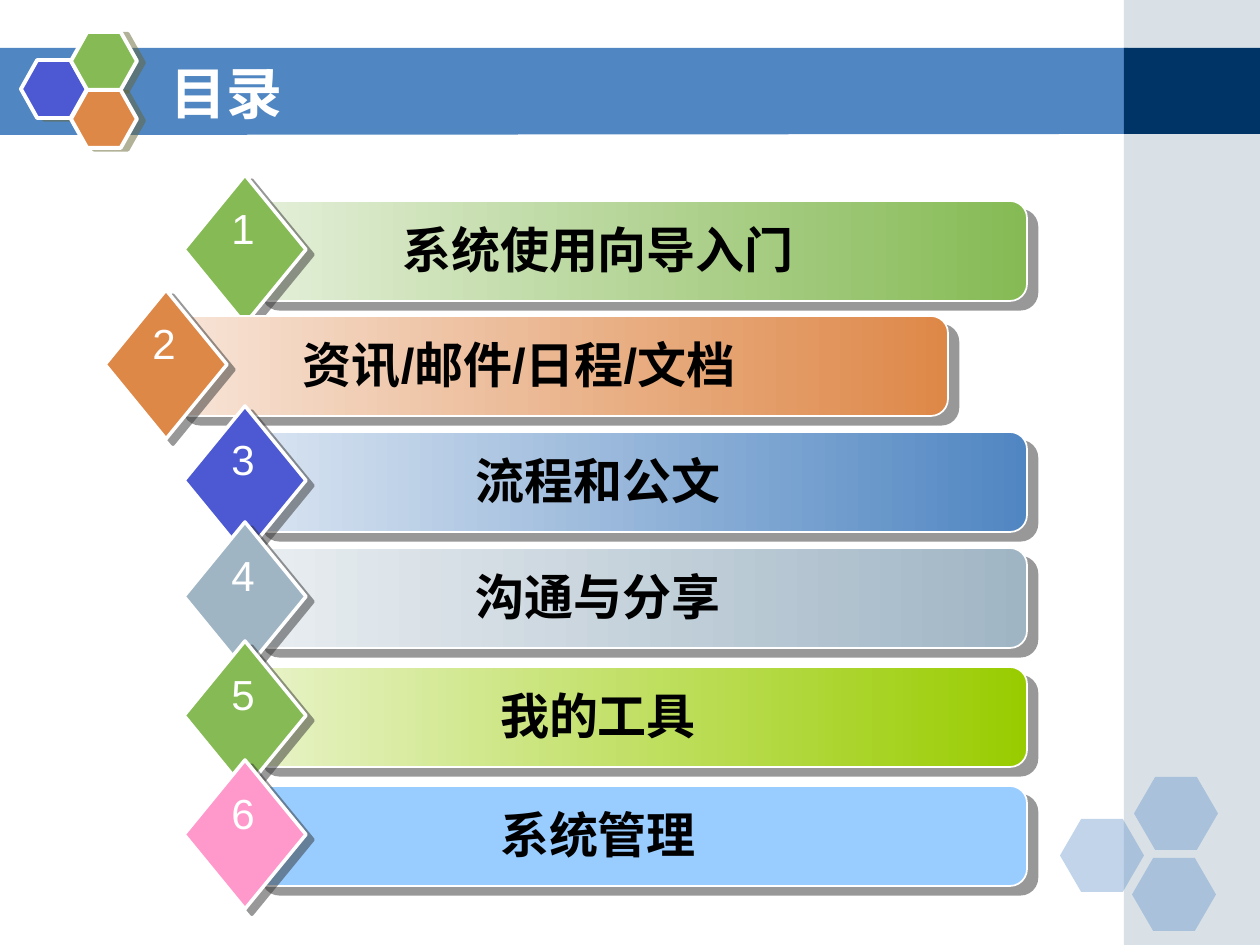
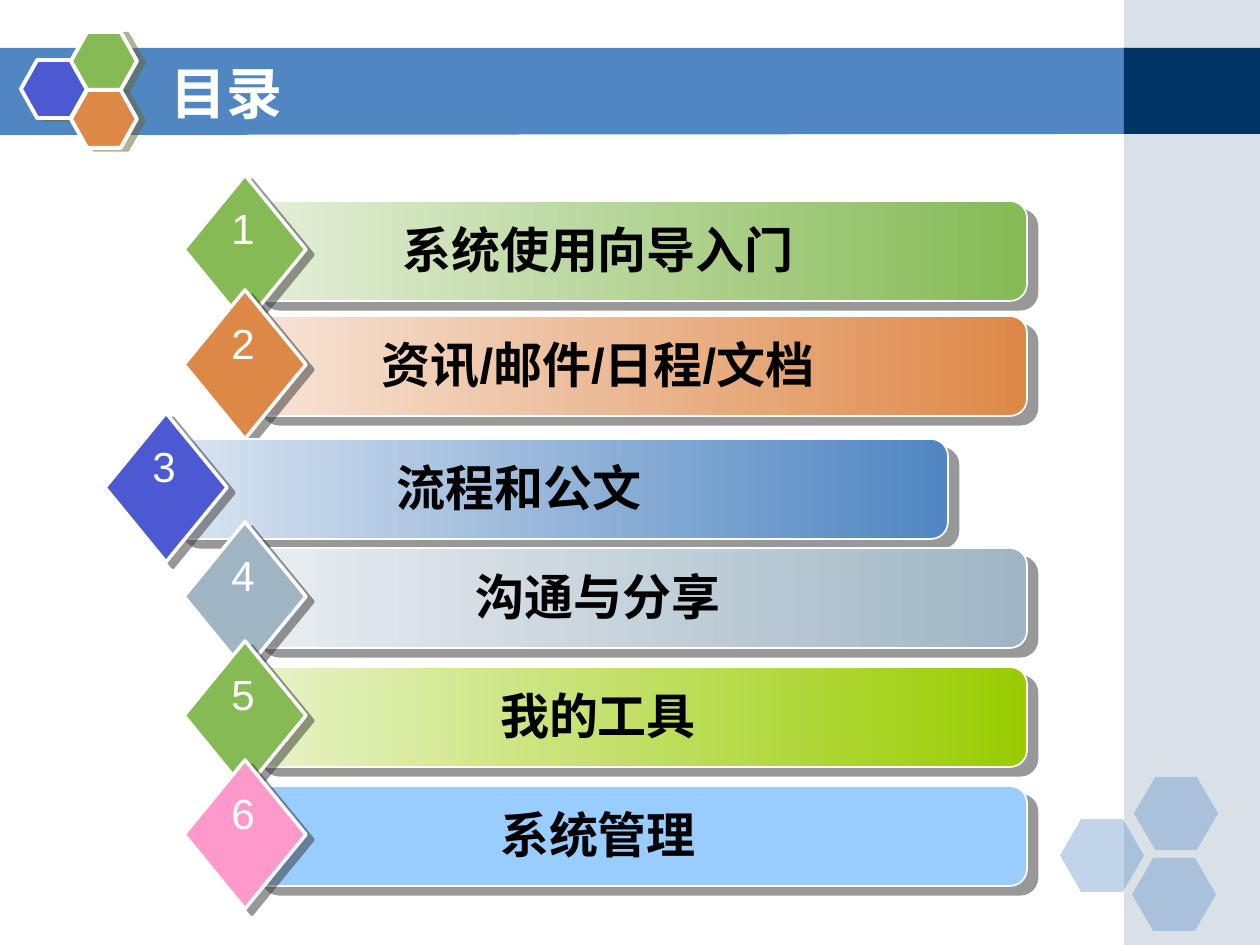
import pptx
import pptx.dml.color
import pptx.enum.lang
import pptx.enum.shapes
import pptx.enum.text
import pptx.oxml
import pptx.oxml.ns
import pptx.util

PX = 914400 / 126
SHAPE = pptx.enum.shapes.MSO_SHAPE
ALIGN = pptx.enum.text.PP_ALIGN
ANCHOR = pptx.enum.text.MSO_ANCHOR
WHITE, BLUE, GREEN, ORANGE, INDIGO, GREY = (
    "FFFFFF", "5086C2", "85BA54", "DE8848", "4C59D2", "A0B5C4")

TITLE_FONT = {"name": "DejaVu Sans", "size": pptx.util.Pt(32), "bold": True}
ENTRY_FONT = {"name": "Arial", "size": pptx.util.Pt(28), "bold": True}
NUMBER_FONT = {"name": "Arial", "size": pptx.util.Pt(24), "bold": False}

BAR_SHADOW = ("333333", 7.8, 40)
DIAMOND_SHADOW = ("333333", 5, 37)
EMBLEM_SHADOW = ("666633", 4.1, 14)

ENTRIES = [
    ("系统使用向导入门", GREEN, (GREEN, "E4EFD9"), 175),
    ("资讯/邮件/日程/文档", ORANGE, (ORANGE, "F7E4D7"), 290),
    ("流程和公文", INDIGO, (BLUE, "D9E4F1"), 406),
    ("沟通与分享", GREY, (GREY, "E9EEF1"), 522),
    ("我的工具", GREEN, ("99CC00", "E8F3C8"), 641),
    ("系统管理", "FF99CC", ("99CCFF",), 760),
]
ENTRY_LEFT, CURRENT_LEFT = 184, 105


def px(*lengths):
    """Turn pixel lengths into EMU."""
    return [round(length * PX) for length in lengths]


def rgb(color):
    """Turn a hex string into a colour."""
    return pptx.dml.color.RGBColor.from_string(color)


def paint(shape, colors, alpha=100, outline=0, shadow=None):
    """Give a shape its fill, white outline and offset shadow."""
    if len(colors) > 1:
        shape.fill.gradient()
        shape.fill.gradient_angle = 180
        for stop, color in zip(shape.fill.gradient_stops, colors):
            stop.color.rgb = rgb(color)
    else:
        shape.fill.solid()
        shape.fill.fore_color.rgb = rgb(colors[0])
    if alpha < 100:
        tint = shape.element.spPr.find(".//" + pptx.oxml.ns.qn("a:srgbClr"))
        tint.append(pptx.oxml.parse_xml(
            f'<a:alpha {pptx.oxml.ns.nsdecls("a")} val="{alpha * 1000}"/>'))
    if outline:
        shape.line.color.rgb = rgb(WHITE)
        shape.line.width = pptx.util.Pt(outline)
    else:
        shape.line.fill.background()
    shape.shadow.inherit = False
    if shadow:
        color, distance, angle = shadow
        effects = shape.element.spPr.find(pptx.oxml.ns.qn("a:effectLst"))
        effects.append(pptx.oxml.parse_xml(
            f'<a:outerShdw {pptx.oxml.ns.nsdecls("a")} dist="{round(distance * 12700)}" '
            f'dir="{angle * 60000}" algn="ctr" rotWithShape="0">'
            f'<a:srgbClr val="{color}"><a:alpha val="50000"/></a:srgbClr></a:outerShdw>'))


def add_preset(shapes, preset, box, colors, adjust=None, **look):
    """Add a painted preset shape."""
    shape = shapes.add_shape(preset, *px(*box))
    if adjust is not None:
        shape.adjustments[0] = adjust
    paint(shape, colors, **look)


def write(frame, text, font, color, align, **frame_format):
    """Write one formatted paragraph into a text frame."""
    for name, value in frame_format.items():
        setattr(frame, name, value)
    frame.text = text
    paragraph = frame.paragraphs[0]
    paragraph.alignment = align
    run_font = paragraph.runs[0].font
    language = pptx.enum.lang.MSO_LANGUAGE_ID.SIMPLIFIED_CHINESE
    for name, value in {**font, "language_id": language}.items():
        setattr(run_font, name, value)
    run_font.color.rgb = rgb(color)


def add_title_band(shapes, left, top, width, height):
    """Draw the blue band behind the title."""
    builder = shapes.build_freeform(left, top, scale=PX)
    right, bottom = left + width, top + height
    builder.add_line_segments([(right, top), (right, bottom - 1), (left, bottom)])
    paint(builder.convert_to_shape(), [BLUE])


def add_side_panel(shapes, left, top, width, height):
    """Draw the pale side panel and its dark end of the title band."""
    panel = shapes.add_group_shape().shapes
    add_preset(panel, SHAPE.RECTANGLE, (left, top, width, height), [GREY], alpha=40)
    add_preset(panel, SHAPE.RECTANGLE, (left, top + 48, width, 86), ["003366"])


def add_corner_hexagons(shapes, left, top):
    """Draw the three translucent hexagons in the lower corner."""
    for dx, dy in [(0, 42), (74, 0), (72, 81)]:
        add_preset(shapes, SHAPE.HEXAGON, (left + dx, top + dy, 84, 73), [BLUE],
                   adjust=0.29, alpha=35)


def add_emblem(shapes, left, top):
    """Draw the three outlined hexagons beside the title."""
    emblem = shapes.add_group_shape().shapes
    for dx, dy, color in [(0, 28, INDIGO), (50, 0, GREEN), (50, 58, ORANGE)]:
        add_preset(emblem, SHAPE.HEXAGON, (left + dx, top + dy, 66, 58), [color],
                   adjust=0.28, outline=2.25, shadow=EMBLEM_SHADOW)


def place_title(slide, text, box):
    """Move the title placeholder above the band and fill it."""
    title = slide.shapes.title
    title.element.getparent().append(title.element)
    for side, length in zip(("left", "top", "width", "height"), px(*box)):
        setattr(title, side, length)
    write(title.text_frame, text, TITLE_FONT, WHITE, ALIGN.LEFT,
          vertical_anchor=ANCHOR.MIDDLE, word_wrap=True,
          auto_size=pptx.enum.text.MSO_AUTO_SIZE.NONE)


def add_entry(shapes, left, top, number, label, diamond_color, bar_colors):
    """Draw one contents entry: bar, numbered diamond and label."""
    entry = shapes.add_group_shape().shapes
    add_preset(entry, SHAPE.ROUNDED_RECTANGLE, (left + 68, top + 26, 775, 100),
               bar_colors, adjust=0.17, outline=1, shadow=BAR_SHADOW)
    add_preset(entry, SHAPE.DIAMOND, (left, top, 122, 149), [diamond_color],
               outline=2, shadow=DIAMOND_SHADOW)
    label_box = entry.add_textbox(*px(left + 108, top + 38, 612, 72))
    write(label_box.text_frame, label, ENTRY_FONT, "000000", ALIGN.CENTER, word_wrap=True)
    number_box = entry.add_textbox(*px(left + 35, top + 21, 48, 63))
    write(number_box.text_frame, str(number), NUMBER_FONT, WHITE, ALIGN.CENTER,
          word_wrap=False)


def add_contents_slide(deck, current, shift=0):
    """Build a contents slide with the current entry pulled out to the left."""
    slide = deck.slides.add_slide(deck.slide_layouts[5])
    shapes = slide.shapes
    add_title_band(shapes, -1, 48, 1129, 87)
    add_side_panel(shapes, 1124, 0, 136, 945)
    add_corner_hexagons(shapes, 1060, 777)
    add_emblem(shapes, 21, 32)
    place_title(slide, "目录", (158, 53, 924, 78))
    for number, (label, diamond_color, bar_colors, top) in enumerate(ENTRIES, 1):
        left = ENTRY_LEFT
        if number == current:
            left, top = CURRENT_LEFT, top + shift
        add_entry(shapes, left, top, number, label, diamond_color, bar_colors)


def main():
    """Build and save the deck."""
    deck = pptx.Presentation()
    deck.slide_width, deck.slide_height = px(1260, 945)
    add_contents_slide(deck, current=2)
    add_contents_slide(deck, current=3, shift=7)
    deck.save("out.pptx")


if __name__ == "__main__":
    main()
